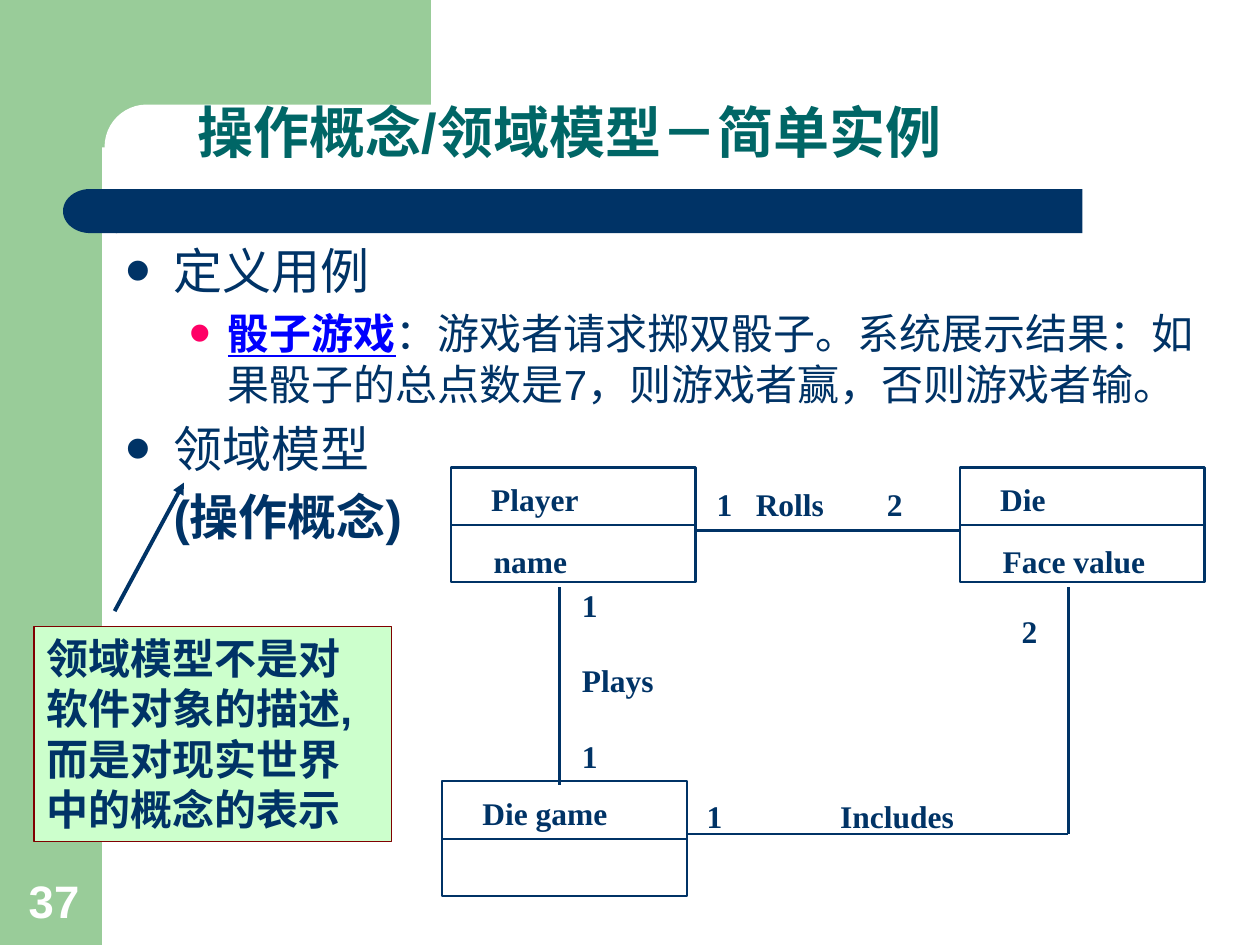
from lxml import etree
from pptx import Presentation
from pptx import util as u
from pptx.dml.color import RGBColor
from pptx.enum import shapes, text
from pptx.oxml import ns

NAVY = RGBColor(0x00, 0x33, 0x66)
TEAL = RGBColor(0x00, 0x66, 0x66)
SAGE = RGBColor(0x99, 0xCC, 0x99)
MINT = RGBColor(0xCC, 0xFF, 0xCC)
MAROON = RGBColor(0x80, 0x00, 0x00)
PINK = RGBColor(0xFF, 0x00, 0x66)
BLUE = RGBColor(0x00, 0x00, 0xFF)
WHITE = RGBColor(0xFF, 0xFF, 0xFF)

SHAPE = shapes.MSO_SHAPE
ANCHOR = text.MSO_ANCHOR

TITLE = "操作概念/领域模型－简单实例"
PAGE_NUMBER = "37"
NOTE = "领域模型不是对软件对象的描述,而是对现实世界中的概念的表示"

TOPIC = dict(size=28, color=NAVY)
DETAIL = dict(size=24, color=NAVY)
OUTLINE = [
    (0, NAVY, [("定义用例", TOPIC)]),
    (1, PINK, [
        ("骰子游戏", dict(size=24, color=BLUE, bold=True, underline=True)),
        ("：游戏者请求掷双骰子。系统展示结果：如果骰子的总点数是7，则游戏者赢，否则游戏者输。", DETAIL),
    ]),
    (0, NAVY, [("领域模型", TOPIC)]),
    (0, None, [("(操作概念)", dict(TOPIC, bold=True))]),
]
INDENTS = [(0.38, -0.38), (0.81, -0.31)]

BACKDROP = [
    (SHAPE.RECTANGLE, (0, 0, 0.81, 7.5), SAGE),
    (SHAPE.RECTANGLE, (0.73, 0, 2.69, 1.17), SAGE),
    (SHAPE.ROUNDED_RECTANGLE, (0.83, 0.83, 5.58, 0.67), WHITE),
    (SHAPE.RECTANGLE, (0.92, 1.5, 7.67, 0.35), NAVY),
    (SHAPE.FLOWCHART_DELAY, (0.5, 1.5, 0.43, 0.35), NAVY),
]

CLASS_WIDTH, CLASS_HEIGHT, HEADER_HEIGHT = 1.94, 0.91, 0.46
CLASSES = [
    (3.58, 3.71, ("Player", 0.9), ("name", 0.78)),
    (7.62, 3.71, ("Die", 0.56), ("Face value", 1.33)),
    (3.51, 6.2, ("Die game", 1.2), None),
]
ASSOCIATIONS = [
    (5.53, 4.21, 7.62, 4.21),
    (4.44, 4.66, 4.44, 6.23),
    (5.45, 6.62, 8.48, 6.62),
    (8.48, 6.62, 8.48, 4.66),
]
LABELS = [
    ("1", 5.59, 3.8, 0.33), ("Rolls", 5.9, 3.8, 0.8), ("2", 6.94, 3.8, 0.33),
    ("1", 4.52, 4.6, 0.33), ("Plays", 4.52, 5.2, 0.9), ("1", 4.52, 5.8, 0.33),
    ("1", 5.51, 6.28, 0.33), ("Includes", 6.57, 6.28, 1.25),
    ("2", 8.01, 4.81, 0.33),
]


def inches(values):
    return [u.Inches(value) for value in values]


def add_run(paragraph, words, size, color, face="Arial", **styles):
    run = paragraph.add_run()
    run.text = words
    run.font.color.rgb = color
    for key, value in dict(styles, size=u.Pt(size), name=face).items():
        setattr(run.font, key, value)


def add_box(slide, area, wrap=True, anchor=ANCHOR.TOP):
    frame = slide.shapes.add_textbox(*inches(area)).text_frame
    frame.word_wrap = wrap
    frame.vertical_anchor = anchor
    return frame


def add_block(slide, kind, area, fill=None, line=None, weight=1.25):
    block = slide.shapes.add_shape(kind, *inches(area))
    block.shadow.inherit = False
    if fill is None:
        block.fill.background()
    else:
        block.fill.solid()
        block.fill.fore_color.rgb = fill
    if line is None:
        block.line.fill.background()
    else:
        block.line.color.rgb = line
        block.line.width = u.Pt(weight)
    return block


def add_line(slide, ends, weight=1.25, arrow=False):
    line = slide.shapes.add_connector(shapes.MSO_CONNECTOR.STRAIGHT, *inches(ends))
    line.line.color.rgb = NAVY
    line.line.width = u.Pt(weight)
    if arrow:
        outline = line._element.spPr.find(ns.qn("a:ln"))
        etree.SubElement(outline, ns.qn("a:tailEnd"), type="triangle")
    etree.SubElement(line._element.spPr, ns.qn("a:effectLst"))


def add_label(slide, words, left, top, width):
    frame = add_box(slide, (left, top, width, 0.4))
    add_run(frame.paragraphs[0], words, 18, NAVY, "Times New Roman", bold=True)


def add_class(slide, left, top, heading, attribute):
    add_block(slide, SHAPE.RECTANGLE, (left, top, CLASS_WIDTH, CLASS_HEIGHT), line=NAVY)
    divider = top + HEADER_HEIGHT
    add_line(slide, (left, divider, left + CLASS_WIDTH, divider))
    label_width = CLASS_WIDTH - 0.24
    add_label(slide, heading[0], left + 0.22, top + 0.05, min(label_width, heading[1] + 0.1))
    if attribute:
        add_label(slide, attribute[0], left + 0.24, top + 0.54, min(label_width, attribute[1] + 0.1))


def format_outline(paragraph, level, bullet):
    margin, hanging = INDENTS[level]
    props = paragraph._p.get_or_add_pPr()
    props.set("marL", str(u.Inches(margin)))
    props.set("indent", str(u.Inches(hanging if bullet else 0)))
    if bullet:
        color = etree.SubElement(props, ns.qn("a:buClr"))
        etree.SubElement(color, ns.qn("a:srgbClr"), val=str(bullet))
        etree.SubElement(props, ns.qn("a:buSzPct"), val="150000")
        etree.SubElement(props, ns.qn("a:buFont"), typeface="Arial")
        etree.SubElement(props, ns.qn("a:buChar"), char="•")
    else:
        etree.SubElement(props, ns.qn("a:buNone"))


def add_outline(slide):
    frame = add_box(slide, (0.9, 1.86, 8.9, 4.07))
    for index, (level, bullet, runs) in enumerate(OUTLINE):
        paragraph = frame.add_paragraph() if index else frame.paragraphs[0]
        paragraph.level = level
        paragraph.space_before = u.Pt(runs[0][1]["size"] * 0.2)
        format_outline(paragraph, level, bullet)
        for words, styles in runs:
            add_run(paragraph, words, **styles)


def add_note(slide):
    note = add_block(slide, SHAPE.RECTANGLE, (0.27, 4.97, 2.84, 1.71), MINT, MAROON, 0.75)
    frame = note.text_frame
    frame.word_wrap = True
    frame.vertical_anchor = ANCHOR.TOP
    frame.paragraphs[0].alignment = text.PP_ALIGN.LEFT
    add_run(frame.paragraphs[0], NOTE, 24, NAVY, bold=True)
    add_line(slide, (0.91, 4.85, 1.46, 3.83), 2.25, arrow=True)


def main():
    deck = Presentation()
    deck.slide_width, deck.slide_height = inches((10, 7.5))
    slide = deck.slides.add_slide(deck.slide_layouts[6])

    for kind, area, fill in BACKDROP:
        block = add_block(slide, kind, area, fill)
        if kind == SHAPE.ROUNDED_RECTANGLE:
            block.adjustments[0] = 0.5
        elif kind == SHAPE.FLOWCHART_DELAY:
            block.rotation = 180

    number = add_box(slide, (0.13, 6.88, 0.64, 0.53), anchor=ANCHOR.BOTTOM)
    add_run(number.paragraphs[0], PAGE_NUMBER, 26, WHITE, bold=True)
    title = add_box(slide, (1.47, 0.44, 8.33, 0.92), anchor=ANCHOR.BOTTOM)
    title.paragraphs[0].line_spacing = 0.9
    add_run(title.paragraphs[0], TITLE, 32, TEAL, bold=True)

    add_outline(slide)
    for entry in CLASSES:
        add_class(slide, *entry)
    for ends in ASSOCIATIONS:
        add_line(slide, ends)
    for label in LABELS:
        add_label(slide, *label)
    add_note(slide)
    deck.save("out.pptx")


if __name__ == "__main__":
    main()
